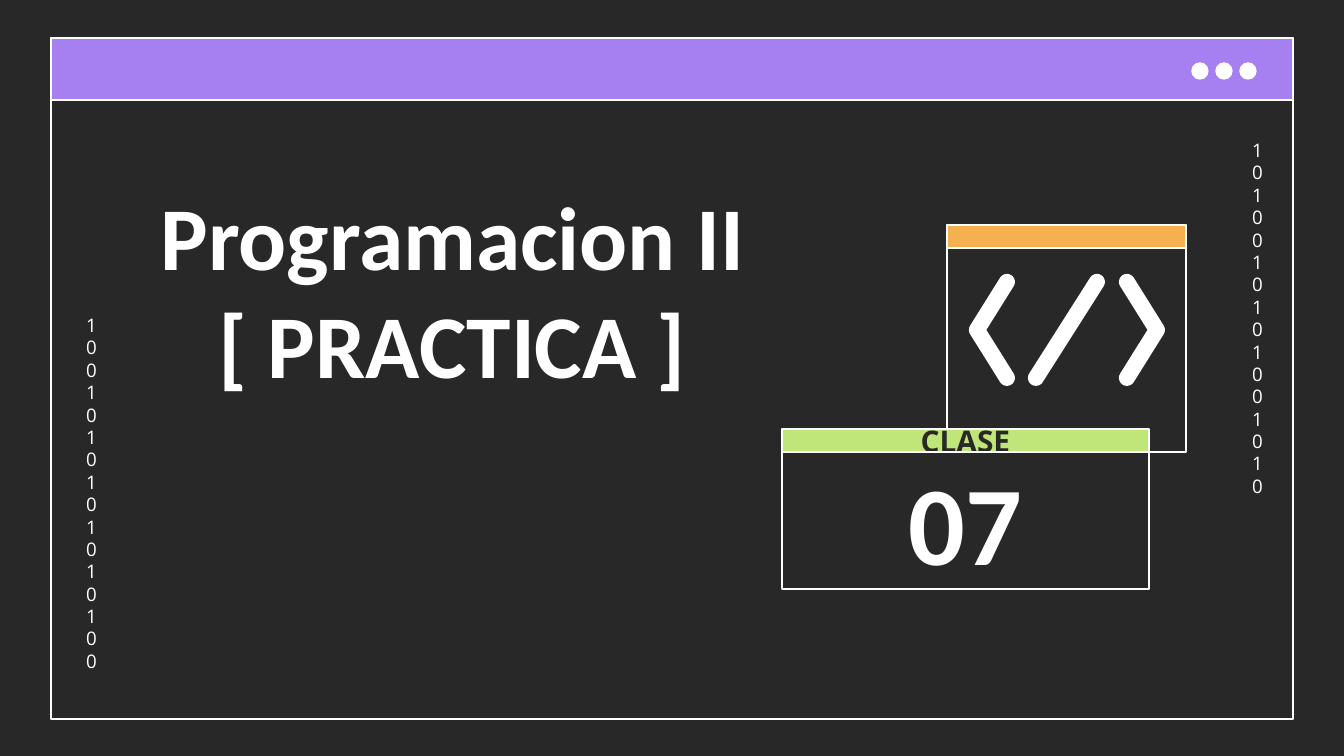
from math import atan2, cos, degrees, radians, sin

from pptx import Presentation
from pptx.dml.color import RGBColor
from pptx.enum.shapes import MSO_SHAPE
from pptx.enum.text import MSO_ANCHOR, PP_ALIGN
from pptx.util import Emu, Pt

SCALE = 914400 / 134.4
DARK, WHITE = "292828", "FFFFFF"
PURPLE, ORANGE, GREEN = "A67FF1", "F5B150", "C0E67A"
INSET = 13


def px(n):
    return Emu(round(n * SCALE))


def color(value):
    return RGBColor.from_string(value)


def add_box(s, x, y, w, h, fill=None, kind=MSO_SHAPE.RECTANGLE):
    sp = s.shapes.add_shape(kind, px(x), px(y), px(w), px(h))
    sp.shadow.inherit = False
    if fill:
        sp.fill.solid()
        sp.fill.fore_color.rgb = color(fill)
    else:
        sp.fill.background()
    sp.line.color.rgb = color(WHITE)
    sp.line.width = Pt(0.75)
    return sp


def set_text(sp, text, size, font, fill=WHITE, bold=True, anchor=MSO_ANCHOR.MIDDLE):
    tf = sp.text_frame
    tf.word_wrap = True
    tf.vertical_anchor = anchor
    tf.margin_left = tf.margin_right = tf.margin_top = tf.margin_bottom = px(INSET)
    p = tf.paragraphs[0]
    p.text = text
    p.alignment = PP_ALIGN.CENTER
    for r in p.runs:
        r.font.size = Pt(size)
        r.font.name = font
        r.font.bold = bold
        r.font.color.rgb = color(fill)
    return p


def add_text(s, x, y, w, h, text, size, font, bold):
    sp = s.shapes.add_textbox(px(x), px(y), px(w), px(h))
    return set_text(sp, text, size, font, bold=bold, anchor=MSO_ANCHOR.TOP)


def add_digits(s, x, y, digits):
    # The column is so narrow that every digit wraps to its own line
    p = add_text(s, x, y, 32, 376, digits, 10, "Open Sans", False)
    p.line_spacing = Pt(12)


def add_window(s, x, y, w, h, bar, fill):
    add_box(s, x, y, w, h)
    return add_box(s, x, y, w, bar, fill)


def arc(x, y, radius, start, end, steps=12):
    angles = [radians(start + (end - start) * i / steps) for i in range(steps + 1)]
    return [(x + radius * cos(a), y + radius * sin(a)) for a in angles]


def add_code_icon(s):
    center, top, middle, bottom, radius = 1067, 282, 330, 378, 8
    end_x, apex_x = 1127, 1157

    # Right chevron: round ends, round tip, sharp inner corner
    slope = degrees(atan2(middle - top, apex_x - end_x))
    normal = 90 - slope
    right = arc(end_x, top, radius, slope + 90, slope + 270)
    right += arc(apex_x, middle, radius, -normal, normal)
    right += arc(end_x, bottom, radius, normal, normal + 180)
    right.append((apex_x - radius / cos(radians(normal)), middle))
    left = [(2 * center - x, y) for x, y in right]

    # Slash: a bar with round ends
    slash_top, slash_bottom = 1097, 1036
    slope = degrees(atan2(bottom - top, slash_bottom - slash_top))
    slash = arc(slash_top, top, radius, slope + 90, slope + 270)
    slash += arc(slash_bottom, bottom, radius, slope - 90, slope + 90)

    contours = [[(px(x), px(y)) for x, y in c] for c in (left, slash, right)]
    builder = s.shapes.build_freeform(*contours[0][0])
    for i, points in enumerate(contours):
        if i:
            builder.move_to(*points[0])
        builder.add_line_segments(points[1:], close=True)
    sp = builder.convert_to_shape()
    sp.shadow.inherit = False
    sp.fill.solid()
    sp.fill.fore_color.rgb = color(WHITE)
    sp.line.fill.background()


def main():
    prs = Presentation()
    prs.slide_width, prs.slide_height = px(1344), px(756)
    s = prs.slides.add_slide(prs.slide_layouts[6])
    s.background.fill.solid()
    s.background.fill.fore_color.rgb = color(DARK)

    # Main window with its three dots
    add_window(s, 51, 38, 1242, 681, 62, PURPLE)
    for i in range(3):
        add_box(s, 1192 + 24 * i, 63, 16, 16, WHITE, MSO_SHAPE.OVAL)

    # Binary columns
    add_digits(s, 1239, 126, "1010010101001010")
    add_digits(s, 73, 301, "1001010101010100")

    # Title
    add_text(s, 124, 168, 657, 454, "Programacion II\v[ PRACTICA ]", 48, "Calibri", True)

    # Code window
    add_window(s, 947, 225, 239, 227, 23, ORANGE)
    add_code_icon(s)

    # Class number
    set_text(add_box(s, 782, 429, 367, 23, GREEN), "CLASE", 16, "Open Sans", DARK)
    set_text(add_box(s, 782, 452, 367, 137), "07", 60, "Calibri")

    prs.save("out.pptx")


if __name__ == "__main__":
    main()
